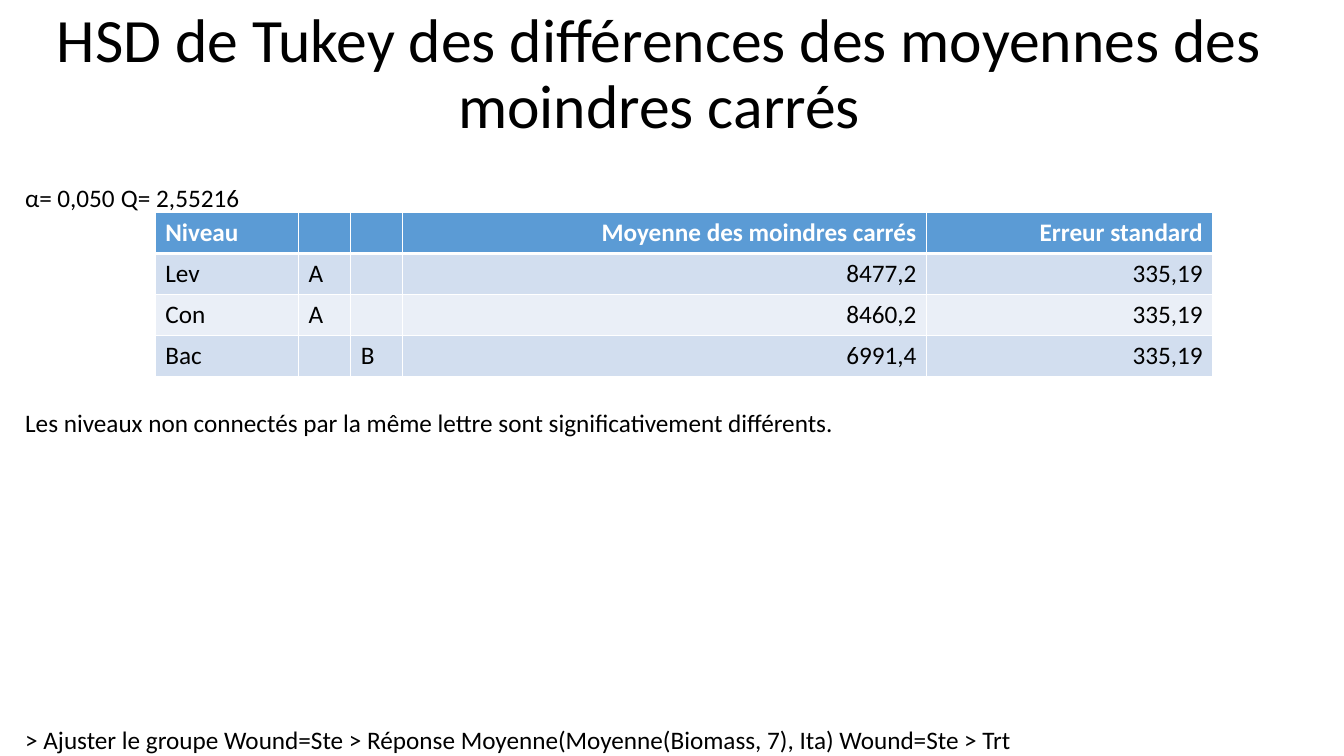
from lxml.etree import SubElement
from pptx import Presentation
from pptx.dml.color import RGBColor
from pptx.enum.text import MSO_ANCHOR, MSO_AUTO_SIZE, PP_ALIGN
from pptx.oxml import parse_xml
from pptx.oxml.ns import nsdecls, qn
from pptx.util import Inches, Pt

FONT = "Calibri"
COLORS = {"text": "000000", "white": "FFFFFF", "header": "5B9BD5",
          "odd": "D2DEEF", "even": "EAEFF7"}

TITLE = "HSD de Tukey des différences des moyennes des moindres carrés"
LINE_HEIGHT = 0.31
# text, left, top, width
LABELS = [
    ("> Ajuster le groupe Wound=Ste > Réponse Moyenne(Moyenne(Biomass, 7), Ita) Wound=Ste > Trt",
     0.25, 7.19, 9.9),
    ("α=", 0.25, 1.81, 0.3),
    ("0,050", 0.57, 1.81, 0.6),
    ("Q=", 1.2, 1.81, 0.33),
    ("2,55216", 1.55, 1.81, 0.9),
    ("Les niveaux non connectés par la même lettre sont significativement différents.",
     0.25, 4.04, 8.1),
]
TUKEY_ROWS = [
    ("Niveau", "", "", "Moyenne des moindres carrés", "Erreur standard"),
    ("Lev", "A", "", "8477,2", "335,19"),
    ("Con", "A", "", "8460,2", "335,19"),
    ("Bac", "", "B", "6991,4", "335,19"),
]
COLUMN_WIDTHS = [1.42, 0.52, 0.51, 5.2, 2.84]
FIRST_NUMBER_COLUMN = 3
ROW_HEIGHT = 0.4


def rgb(name):
    return RGBColor.from_string(COLORS[name])


def style_para(para, size, color="text", bold=False, align=None):
    para.font.name = FONT
    para.font.size = Pt(size)
    para.font.bold = bold
    para.font.color.rgb = rgb(color)
    para.alignment = align


def add_label(page, text, left, top, width):
    box = page.shapes.add_textbox(Inches(left), Inches(top), Inches(width), Inches(LINE_HEIGHT))
    frame = box.text_frame
    frame.margin_left = frame.margin_right = frame.margin_top = frame.margin_bottom = 0
    frame.word_wrap = False
    frame.auto_size = MSO_AUTO_SIZE.NONE
    frame.text = text
    style_para(frame.paragraphs[0], 18, align=PP_ALIGN.LEFT)


def set_borders(cell, top_width, bottom_width):
    """White lines on all four sides, 1 pt at the left and right."""
    properties = cell._tc.get_or_add_tcPr()
    sides = [("L", 1), ("R", 1), ("T", top_width), ("B", bottom_width)]
    for place, (side, width) in enumerate(sides):
        line = parse_xml(f'<a:ln{side} {nsdecls("a")} w="{Pt(width)}"/>')
        fill = SubElement(line, qn("a:solidFill"))
        SubElement(fill, qn("a:srgbClr"), val=COLORS["white"])
        properties.insert(place, line)


def add_tukey_table(page):
    frame = page.shapes.add_table(
        len(TUKEY_ROWS), len(COLUMN_WIDTHS), Inches(1.54), Inches(2.11),
        Inches(sum(COLUMN_WIDTHS)), Inches(ROW_HEIGHT * len(TUKEY_ROWS)))
    table = frame.table
    for column, width in zip(table.columns, COLUMN_WIDTHS):
        column.width = Inches(width)
    for r, values in enumerate(TUKEY_ROWS):
        header = r == 0
        fill = "header" if header else "odd" if r % 2 else "even"
        for c, value in enumerate(values):
            cell = table.cell(r, c)
            cell.text = value
            style_para(cell.text_frame.paragraphs[0], 18,
                       "white" if header else "text", header,
                       PP_ALIGN.RIGHT if c >= FIRST_NUMBER_COLUMN else None)
            cell.fill.solid()
            cell.fill.fore_color.rgb = rgb(fill)
            set_borders(cell, 3 if r == 1 else 1, 3 if header else 1)


def main():
    deck = Presentation()
    deck.slide_width, deck.slide_height = Inches(13.33), Inches(7.5)
    page = deck.slides.add_slide(deck.slide_layouts[5])

    title = page.shapes.title
    title.left, title.top, title.width, title.height = 0, 0, Inches(13.08), Inches(1.5)
    title.text_frame.text = TITLE
    title.text_frame.vertical_anchor = MSO_ANCHOR.MIDDLE
    para = title.text_frame.paragraphs[0]
    style_para(para, 44, align=PP_ALIGN.CENTER)
    para.line_spacing = 0.9

    for label in LABELS:
        add_label(page, *label)
    add_tukey_table(page)
    deck.save("out.pptx")


if __name__ == "__main__":
    main()
